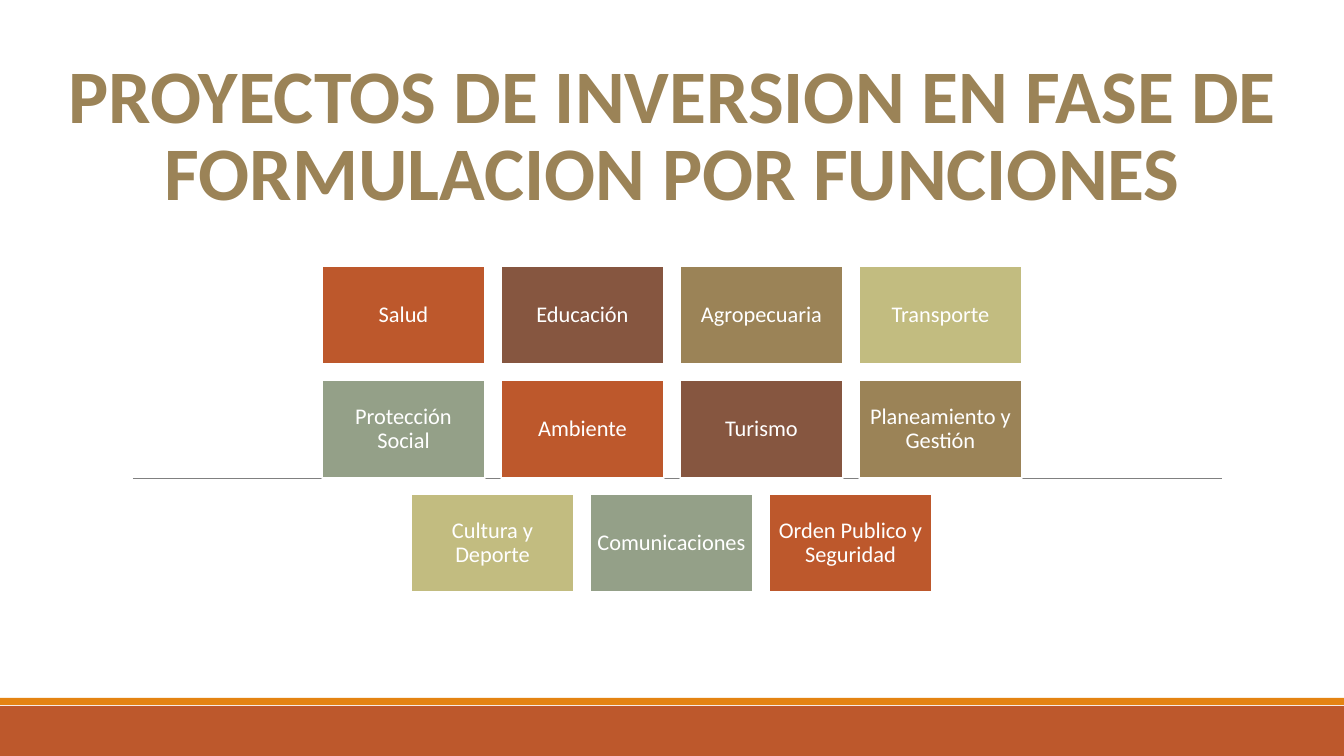
from itertools import cycle
from lxml.etree import SubElement
from pptx import Presentation
from pptx.dml.color import RGBColor
from pptx.enum.shapes import MSO_CONNECTOR, MSO_SHAPE
from pptx.enum.text import MSO_ANCHOR, PP_ALIGN
from pptx.oxml.ns import qn
from pptx.util import Emu, Pt

WHITE = RGBColor(0xFF, 0xFF, 0xFF)
GRAY = RGBColor(0x80, 0x80, 0x80)
ORANGE = RGBColor(0xE4, 0x83, 0x12)
RUST = RGBColor(0xBD, 0x58, 0x2C)
BROWN = RGBColor(0x86, 0x56, 0x40)
TAN = RGBColor(0x9B, 0x83, 0x57)
LIME = RGBColor(0xC2, 0xBC, 0x80)
SAGE = RGBColor(0x94, 0xA0, 0x88)

WIDTH, HEIGHT = 1344, 756
CARD_W, CARD_H, GAP = 163, 98, 16
CARD_TOP = 266
TITLE = "PROYECTOS DE INVERSION EN FASE DE FORMULACION POR FUNCIONES"
ROWS = [
    ["Salud", "Educación", "Agropecuaria", "Transporte"],
    ["Protección Social", "Ambiente", "Turismo", "Planeamiento y Gestión"],
    ["Cultura y Deporte", "Comunicaciones", "Orden Publico y Seguridad"],
]


def px(count):
    return Emu(round(count * 9144000 / 1008))


def set_text(shape, text, size, color, spacing, anchor, inset, bold=False):
    frame = shape.text_frame
    frame.text = text
    frame.word_wrap = True
    frame.vertical_anchor = anchor
    frame.margin_left = frame.margin_right = px(inset)
    frame.margin_top = frame.margin_bottom = px(inset)
    para = frame.paragraphs[0]
    para.alignment = PP_ALIGN.CENTER
    para.line_spacing = spacing
    font = para.font
    font.name, font.size, font.bold = "Calibri", Pt(size), bold
    font.color.rgb = color


def add_rect(slide, left, top, width, height, color):
    rect = slide.shapes.add_shape(
        MSO_SHAPE.RECTANGLE, px(left), px(top), px(width), px(height))
    rect.shadow.inherit = False
    rect.fill.solid()
    rect.fill.fore_color.rgb = color
    rect.line.fill.background()
    return rect


def add_rule(slide, left, right, top):
    rule = slide.shapes.add_connector(
        MSO_CONNECTOR.STRAIGHT, px(left), px(top), px(right), px(top))
    rule.line.color.rgb = GRAY
    rule.line.width = Pt(0.5)
    SubElement(rule._element.spPr, qn("a:effectLst"))


def add_title(slide):
    title = slide.shapes.title
    title.left, title.top = px(52), px(44)
    title.width, title.height = px(1241), px(177)
    set_text(title, TITLE, 54, TAN, 0.85, MSO_ANCHOR.BOTTOM, 5, bold=True)


def add_card(slide, left, top, text, color):
    card = add_rect(slide, left, top, CARD_W, CARD_H, color)
    card.line.color.rgb = WHITE
    card.line.width = Pt(1.25)
    set_text(card, text, 16, WHITE, 0.9, MSO_ANCHOR.MIDDLE, 5)


def add_cards(slide):
    colors = cycle([RUST, BROWN, TAN, LIME, SAGE])
    for row, names in enumerate(ROWS):
        span = len(names) * (CARD_W + GAP) - GAP
        left = (WIDTH - span) // 2
        top = CARD_TOP + row * (CARD_H + GAP)
        for col, name in enumerate(names):
            add_card(slide, left + col * (CARD_W + GAP), top, name, next(colors))


def main():
    deck = Presentation()
    deck.slide_width, deck.slide_height = px(WIDTH), px(HEIGHT)
    slide = deck.slides.add_slide(deck.slide_layouts[5])
    add_rect(slide, 0, 706, WIDTH, 50, RUST)
    add_rect(slide, 0, 698, WIDTH, 7, ORANGE)
    add_rule(slide, 133, 1222, 478)
    add_title(slide)
    add_cards(slide)
    deck.save("out.pptx")


main()
